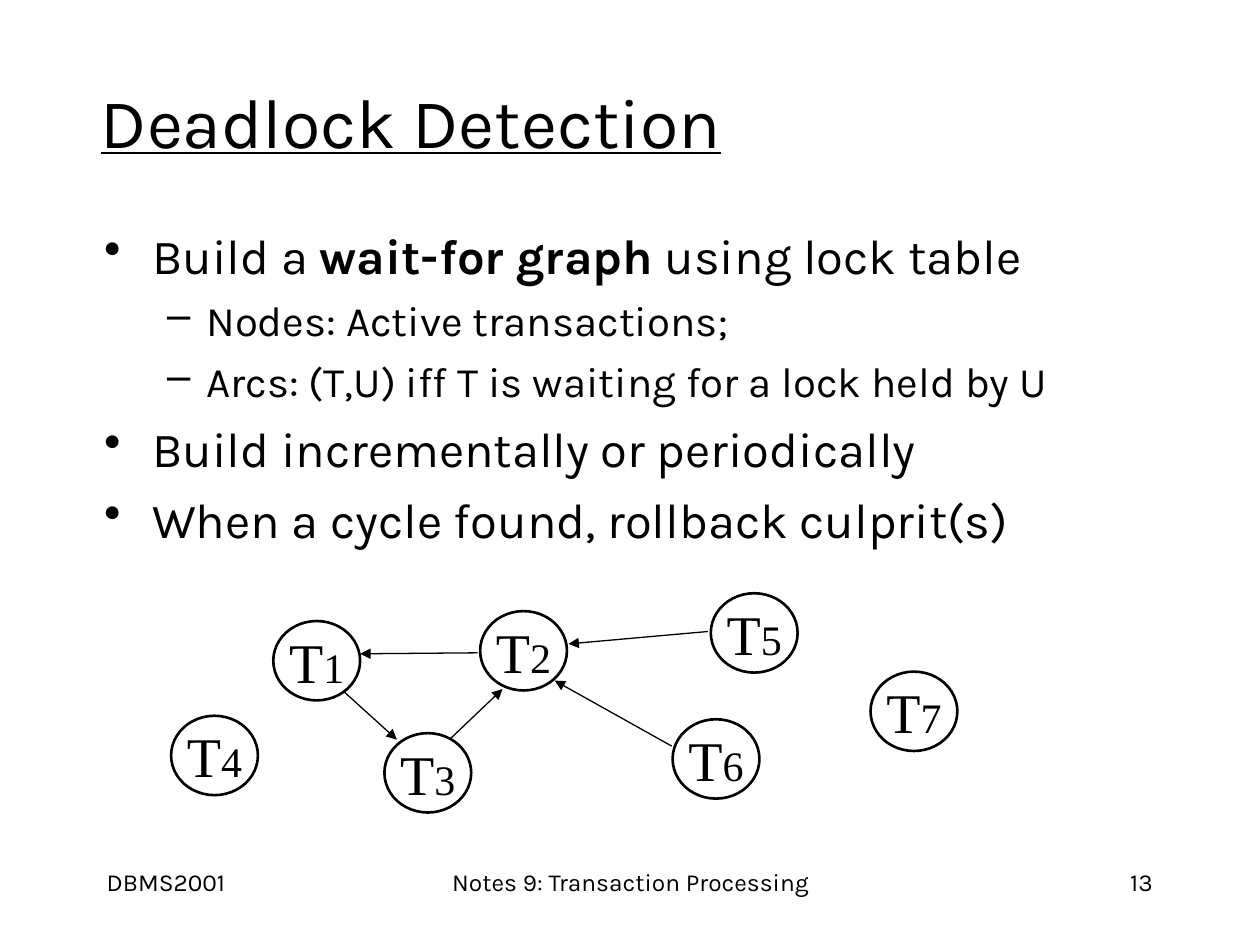
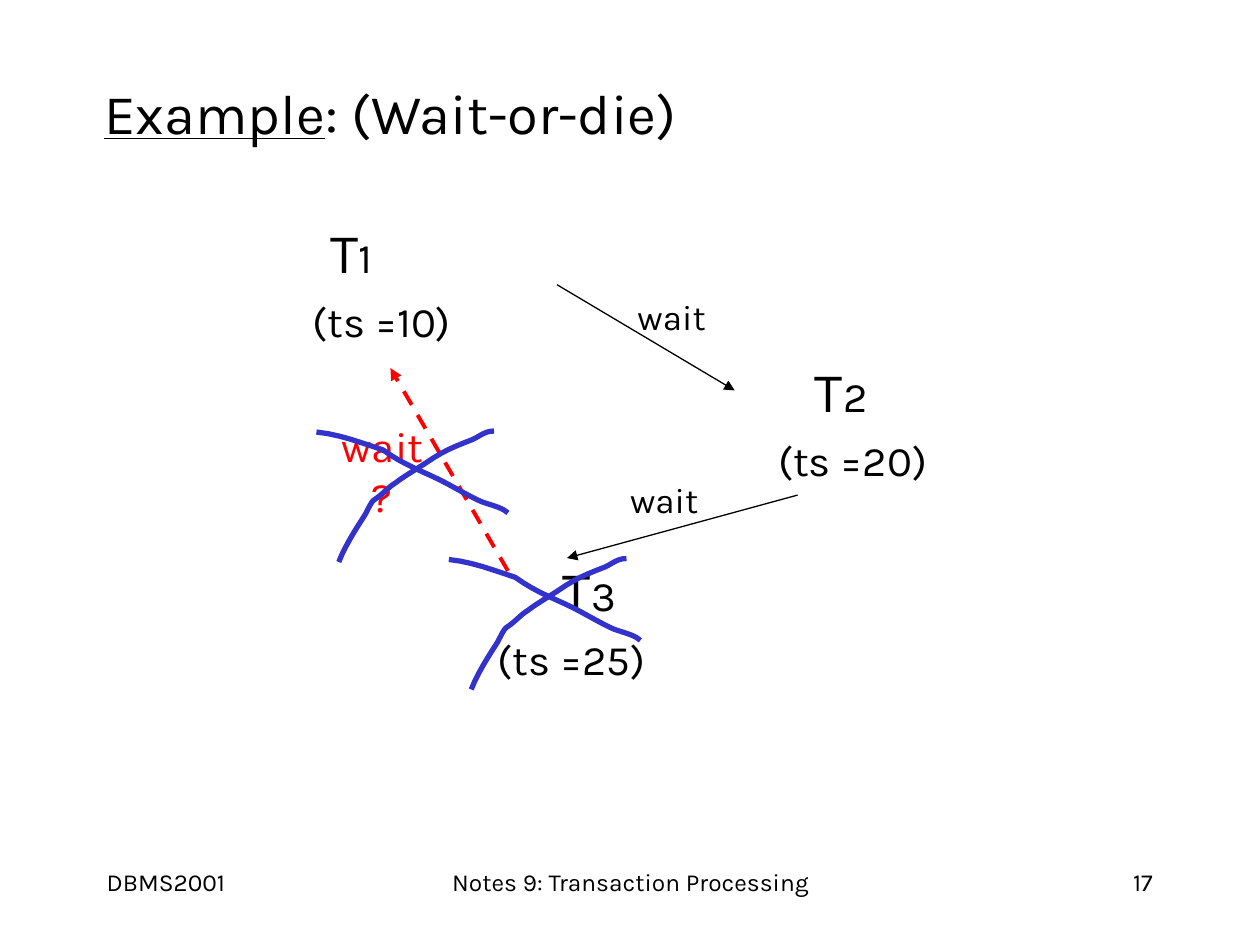
from lxml.etree import SubElement
from pptx import Presentation
from pptx.dml.color import RGBColor
from pptx.enum.dml import MSO_LINE
from pptx.enum.shapes import MSO_CONNECTOR, MSO_SHAPE
from pptx.enum.text import MSO_ANCHOR, MSO_AUTO_SIZE, PP_ALIGN
from pptx.oxml.ns import qn
from pptx.util import Cm, Pt

COLORS = {"ink": "000000", "paper": "FFFFFF", "refused": "FF0000", "cross": "3333CC"}
RGB = {name: RGBColor.from_string(value) for name, value in COLORS.items()}
LEFT, CENTER, RIGHT = PP_ALIGN.LEFT, PP_ALIGN.CENTER, PP_ALIGN.RIGHT
TOP, MIDDLE = MSO_ANCHOR.TOP, MSO_ANCHOR.MIDDLE
FOOTERS = [("DBMS2001", 1.9, 5.28, LEFT),
           ("Notes 9: Transaction Processing", 8.69, 8.05, CENTER)]


def write(sp, paragraphs, align=LEFT, anchor=TOP, wrap=True, font="Karla", color="ink"):
    """Fill a shape; each paragraph is a list of (text, size, font formats) runs."""
    tf = sp.text_frame
    for name, value in {"word_wrap": wrap, "auto_size": MSO_AUTO_SIZE.NONE,
                        "vertical_anchor": anchor}.items():
        setattr(tf, name, value)
    for i, runs in enumerate(paragraphs):
        p = tf.paragraphs[0] if i == 0 else tf.add_paragraph()
        p.alignment = align
        for text, size, formats in runs:
            r = p.add_run()
            r.text = text
            r.font.color.rgb = RGB[color]
            for name, value in {"name": font, "size": Pt(size), **formats}.items():
                setattr(r.font, name, value)
    return tf


def add_arrow(s, x1, y1, x2, y2, color="ink", width=0.75, dash=None):
    line = s.shapes.add_connector(MSO_CONNECTOR.STRAIGHT, Cm(x1), Cm(y1), Cm(x2), Cm(y2))
    line.line.color.rgb = RGB[color]
    line.line.width = Pt(width)
    line.line.dash_style = dash
    SubElement(line.line._get_or_add_ln(), qn("a:tailEnd"), type="triangle")
    SubElement(line._element.spPr, qn("a:effectLst"))


prs = Presentation()
prs.slide_width, prs.slide_height = Cm(25.4), Cm(19.05)

# Titles and footers
titles = [
    ([("Deadlock Detection", 40, {"underline": True})], (1.78, 1.24, 21.59, 2.39), "13"),
    ([("Example", 32, {"underline": True}), (": (Wait-or-die)", 32, {})],
     (1.85, 1.45, 21.59, 1.63), "17"),
]
for title, box, number in titles:
    s = prs.slides.add_slide(prs.slide_layouts[5])
    sp = s.shapes.title
    sp.left, sp.top, sp.width, sp.height = map(Cm, box)
    write(sp, [title], anchor=MIDDLE)
    for text, x, w, align in FOOTERS + [(number, 18.21, 5.28, RIGHT)]:
        sp = s.shapes.add_textbox(Cm(x), Cm(17.35), Cm(w), Cm(1.27))
        write(sp, [[(text, 14, {})]], align)
detection, example = prs.slides

# Deadlock detection: bullets
bullets = [
    (0, [("Build a ", 28, {}), ("wait-for graph", 28, {"bold": True}),
         (" using lock table", 28, {})]),
    (1, [("Nodes: Active transactions;", 24, {})]),
    (1, [("Arcs: (T,U) iff T is waiting for a lock held by U", 24, {})]),
    (0, [("Build incrementally or periodically", 28, {})]),
    (0, [("When a cycle found, rollback culprit(s)", 28, {})]),
]
levels = [("•", 0.97, 0.97, 7), ("–", 2.06, 0.79, 6)]  # mark, margin, hang, space before
sp = detection.shapes.add_textbox(Cm(1.85), Cm(4.42), Cm(21.59), Cm(6.81))
tf = write(sp, [runs for level, runs in bullets])
for p, (level, runs) in zip(tf.paragraphs, bullets):
    mark, margin, hang, space = levels[level]
    p.level = level
    p.space_before = Pt(space)
    pPr = p._p.get_or_add_pPr()
    pPr.set("marL", str(Cm(margin)))
    pPr.set("indent", str(-Cm(hang)))
    SubElement(pPr, qn("a:buChar"), char=mark)

# Deadlock detection: wait-for graph
nodes = {"1": (5.51, 12.52), "2": (9.68, 12.32), "3": (7.75, 14.78), "4": (3.45, 14.43),
         "5": (14.33, 11.96), "6": (13.56, 14.5), "7": (17.55, 13.54)}
for number, (x, y) in nodes.items():
    sp = detection.shapes.add_shape(MSO_SHAPE.OVAL, Cm(x), Cm(y), Cm(1.75), Cm(1.6))
    sp.shadow.inherit = False
    sp.fill.solid()
    sp.fill.fore_color.rgb = RGB["paper"]
    sp.line.color.rgb = RGB["ink"]
    sp.line.width = Pt(1.5)
    write(sp, [[("T", 32, {}), (number, 24, {})]], CENTER, MIDDLE, False, "Times New Roman")

arcs = [(6.93, 13.94, 8, 14.91), (9.09, 14.88, 10.13, 13.89), (9.63, 13.16, 7.26, 13.18),
        (14.27, 12.73, 11.46, 12.98), (13.54, 15.04, 11.18, 13.72)]
for arc in arcs:
    add_arrow(detection, *arc)

# Wait-or-die: transactions with their timestamps
transactions = [("1", "(ts =10)", 6.05, 4.27, 0.36), ("2", "(ts =20)", 15.44, 7.06, 0.74),
                ("3", "(ts =25)", 9.78, 11.07, 1.32)]
for number, stamp, x, y, indent in transactions:
    sp = example.shapes.add_textbox(Cm(x), Cm(y), Cm(4), Cm(2.9))
    tf = write(sp, [[("T", 32, {}), (number, 24, {})], [(stamp, 24, {})]])
    tf.paragraphs[0]._p.get_or_add_pPr().set("indent", str(Cm(indent)))
    for p in tf.paragraphs:
        p.space_before = Pt(6)

# Wait-or-die: waits
add_arrow(example, 11.23, 5.74, 14.81, 7.87)
add_arrow(example, 16.08, 9.98, 11.43, 11.25)
add_arrow(example, 10.24, 11.51, 7.87, 7.42, "refused", 2.25, MSO_LINE.DASH)
waits = [("wait", 12.6, 5.82, 1.88, 1.12, 20, False, "ink"),
         ("wait", 12.45, 9.5, 1.88, 1.12, 20, False, "ink"),
         ("wait?", 6.5, 8.86, 2.42, 1.27, 24, True, "refused")]
for text, x, y, w, h, size, wrap, color in waits:
    sp = example.shapes.add_textbox(Cm(x), Cm(y), Cm(w), Cm(h))
    write(sp, [[(text, size, {})]], CENTER, MIDDLE, wrap, color=color)

# Wait-or-die: crosses, each stroke a chain of cubic curves sampled into short segments
strokes = [
    [(6.83, 11.33), (6.96, 11), (7.16, 10.69), (7.34, 10.41), (7.39, 10.34), (7.47, 10.13),
     (7.54, 10.08), (7.7, 9.98), (7.82, 9.83), (7.98, 9.73), (8.15, 9.6), (8.38, 9.47),
     (8.56, 9.35), (8.94, 9.09), (9.12, 9.02), (9.53, 8.86), (9.68, 8.79), (9.78, 8.69),
     (9.96, 8.69)],
    [(6.38, 8.71), (6.86, 8.76), (7.26, 8.92), (7.72, 9.07), (8.03, 9.3), (8.38, 9.45),
     (8.71, 9.6), (9.04, 9.75), (9.32, 9.93), (9.63, 10.08), (9.78, 10.16), (10.11, 10.21),
     (10.24, 10.34)],
]
STEPS = 6
for dx, dy in [(0, 0), (2.67, 2.57)]:
    for stroke in strokes:
        points = [stroke[0]]
        for i in range(0, len(stroke) - 1, 3):
            for step in range(1, STEPS + 1):
                t = step / STEPS
                weights = ((1 - t) ** 3, 3 * t * (1 - t) ** 2, 3 * t ** 2 * (1 - t), t ** 3)
                points.append([sum(w * c for w, c in zip(weights, axis))
                               for axis in zip(*stroke[i:i + 4])])
        points = [(Cm(x + dx), Cm(y + dy)) for x, y in points]
        builder = example.shapes.build_freeform(*points[0])
        builder.add_line_segments(points[1:], close=False)
        sp = builder.convert_to_shape()
        sp.shadow.inherit = False
        sp.fill.background()
        sp.line.color.rgb = RGB["cross"]
        sp.line.width = Pt(3)

prs.save("out.pptx")
